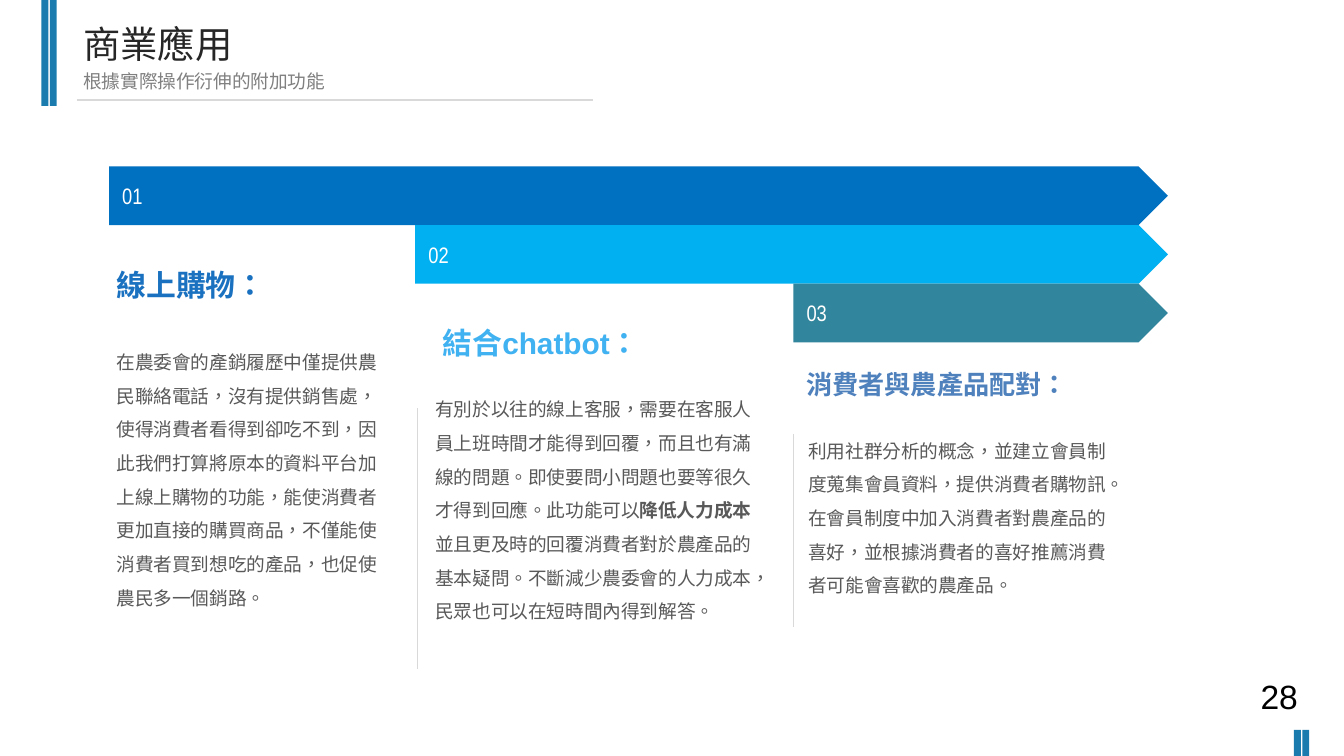
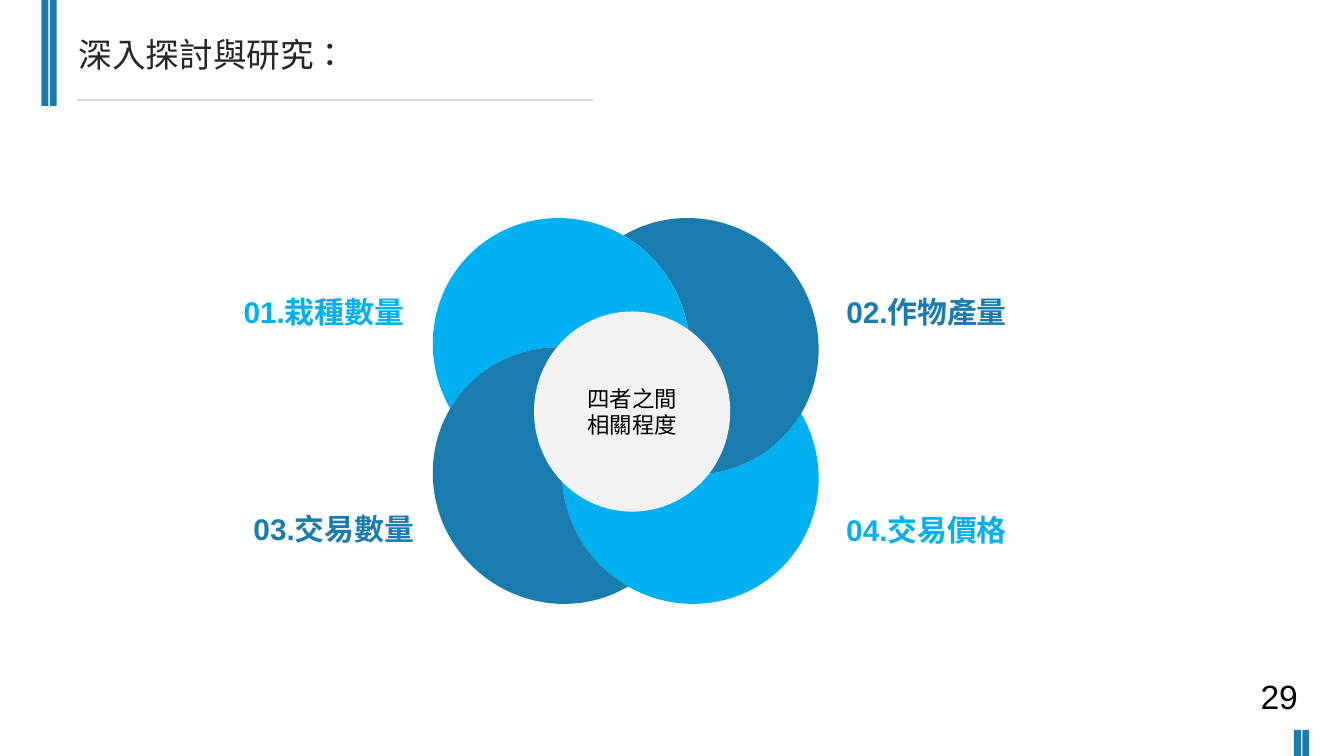
from dataclasses import dataclass
from itertools import pairwise
from math import acos, atan2, cos, degrees, hypot, radians, sin, tan

from lxml import etree
from pptx import Presentation
from pptx.dml.color import RGBColor
from pptx.enum.shapes import MSO_CONNECTOR, MSO_SHAPE
from pptx.enum.text import MSO_ANCHOR, MSO_AUTO_SIZE, PP_ALIGN
from pptx.oxml.ns import qn
from pptx.util import Pt

STRAIGHT = MSO_CONNECTOR.STRAIGHT
RECTANGLE = MSO_SHAPE.RECTANGLE
ARROW_BAR = MSO_SHAPE.PENTAGON
OVAL = MSO_SHAPE.OVAL
TOP, MIDDLE = MSO_ANCHOR.TOP, MSO_ANCHOR.MIDDLE
LEFT, CENTER = PP_ALIGN.LEFT, PP_ALIGN.CENTER
GROW = MSO_AUTO_SIZE.SHAPE_TO_FIT_TEXT

BLUE, SKY, RULE = "1A7BAE", "00B0F0", "D9D9D9"
BODY_FONT, TITLE_FONT, CJK_FONT = "Arial", "Arial Narrow", "Noto Sans CJK SC"
LANGUAGE = "zh-TW"


@dataclass(frozen=True)
class Box:
    left: float
    top: float
    width: float
    height: float

    def lengths(self) -> tuple:
        return Pt(self.left), Pt(self.top), Pt(self.width), Pt(self.height)


@dataclass(frozen=True)
class Style:
    size: float
    color: str
    font: str = BODY_FONT
    bold: bool = False
    align: PP_ALIGN = LEFT
    line_spacing: float = 1.0


@dataclass(frozen=True)
class Application:
    number: str
    bar_left: float
    bar_color: str
    heading: str
    heading_box: Box
    heading_style: Style
    body: tuple[str, ...]
    body_box: Box


@dataclass(frozen=True)
class Factor:
    label: str
    label_box: Box
    color: str
    column: int
    row: int
    cover_angle: float


BODY = Style(10, "595959", CJK_FONT, line_spacing=1.5)
EMPHASIS = "降低人力成本"

BAR_TOP, BAR_HEIGHT, BAR_RIGHT = 89.2, 31.4, 625.7
APPLICATIONS = [
    Application(
        "01", 58.4, "0070C0",
        "線上購物：", Box(55.4, 139.2, 136, 26.6), Style(16, "1971C0", bold=True),
        ("在農委會的產銷履歷中僅提供農民聯絡電話，沒有提供銷售處，使得消費者看得到卻吃不到，"
         "因此我們打算將原本的資料平台加上線上購物的功能，能使消費者更加直接的購買商品，"
         "不僅能使消費者買到想吃的產品，也促使農民多一個銷路。",),
        Box(55.4, 178.5, 160, 150.5),
    ),
    Application(
        "02", 222.4, SKY,
        "結合chatbot：", Box(230.1, 170.6, 136, 26.6), Style(16, "40B1F1", bold=True),
        ("有別於以往的線上客服，需要在客服人員上班時間才能得到回覆，而且也有滿線的問題。"
         "即使要問小問題也要等很久才得到回應。此功能可以",
         EMPHASIS,
         "並且更及時的回覆消費者對於農產品的基本疑問。不斷減少農委會的人力成本，"
         "民眾也可以在短時間內得到解答。"),
        Box(226.1, 203.8, 190, 132.5),
    ),
    Application(
        "03", 425, "31859C",
        "消費者與農產品配對：", Box(424.8, 193.7, 151.2, 24.5), Style(14, "4F81BD", bold=True),
        ("利用社群分析的概念，並建立會員制度蒐集會員資料，提供消費者購物訊。"
         "在會員制度中加入消費者對農產品的喜好，並根據消費者的喜好推薦消費者可能會喜歡的農產品。",),
        Box(425.9, 226, 175.7, 95.8),
    ),
]

FLOWER_X, FLOWER_Y, PETAL_OFFSET = 335.2, 220.2, 34.6
RADIUS_X, RADIUS_Y, PETAL_ROTATION = 69.5, 68, 45
FACTORS = [
    Factor("02.作物產量", Box(446.3, 153.7, 114.5, 26.6), BLUE, 1, -1, 180),
    Factor("01.栽種數量", Box(123.4, 153.7, 124.6, 26.6), SKY, -1, -1, 90),
    Factor("04.交易價格", Box(446.3, 270.7, 124.6, 26.6), SKY, 1, 1, 270),
    Factor("03.交易數量", Box(128.7, 270, 114.5, 26.6), BLUE, -1, 1, 0),
]


def rgb(color: str) -> RGBColor:
    return RGBColor.from_string(color)


def write(shape, paragraphs: list[tuple[str, ...]], style: Style, anchor=TOP, wrap=True) -> None:
    frame = shape.text_frame
    frame.word_wrap = wrap
    frame.vertical_anchor = anchor
    for index, pieces in enumerate(paragraphs):
        paragraph = frame.add_paragraph() if index else frame.paragraphs[0]
        paragraph.alignment = style.align
        paragraph.line_spacing = style.line_spacing
        paragraph.font.name = style.font
        paragraph.font.size = Pt(style.size)
        paragraph.font.bold = style.bold
        paragraph.font.color.rgb = rgb(style.color)
        for piece in pieces:
            run = paragraph.add_run()
            run.text = piece
            run._r.get_or_add_rPr().set("lang", LANGUAGE)
            if piece == EMPHASIS:
                run.font.bold = True


def add_text(slide, box: Box, pieces: tuple[str, ...], style: Style, wrap=True) -> None:
    shape = slide.shapes.add_textbox(*box.lengths())
    write(shape, [pieces], style, wrap=wrap)
    shape.text_frame.auto_size = GROW


def paint(shape, color: str) -> None:
    shape.shadow.inherit = False
    shape.fill.solid()
    shape.fill.fore_color.rgb = rgb(color)
    shape.line.fill.background()


def add_block(slide, kind, box: Box, color: str):
    shape = slide.shapes.add_shape(kind, *box.lengths())
    paint(shape, color)
    return shape


def add_rule(slide, x1: float, y1: float, x2: float, y2: float):
    line = slide.shapes.add_connector(STRAIGHT, Pt(x1), Pt(y1), Pt(x2), Pt(y2))
    line.line.color.rgb = rgb(RULE)
    line.line.width = Pt(0.75)
    etree.SubElement(line._element.spPr, qn("a:effectLst"))
    return line


def furnish_layout(slide) -> None:
    parts = [add_rule(slide, 41, 53.5, 317.5, 53.5)]
    for left, top, height in ((22.2, 0, 56.8), (693.2, 391, 14)):
        for column in range(2):
            box = Box(left + 4.5 * column, top, 3.7, height)
            parts.append(add_block(slide, RECTANGLE, box, BLUE))
    for part in parts:
        slide.slide_layout.shapes._spTree.append(part._element)


def add_heading(slide, title: str, box: Box, size: float, number: int) -> None:
    heading = slide.shapes.title
    heading.left, heading.top, heading.width, heading.height = box.lengths()
    write(heading, [(title,)], Style(size, "262626", TITLE_FONT))
    add_text(slide, Box(668.2, 358.6, 34.6, 28.8), (str(number),), Style(18, "000000"), wrap=False)


def ellipse_point(center: tuple[float, float], angle: float) -> tuple[float, float]:
    return (center[0] + RADIUS_X * cos(radians(angle)), center[1] + RADIUS_Y * sin(radians(angle)))


def curve_points(center: tuple[float, float], start: float, end: float) -> list[tuple[float, float]]:
    reach = 4 / 3 * tan(radians(end - start) / 4)
    controls = []
    for angle, pull in ((start, reach), (end, -reach)):
        x, y = ellipse_point(center, angle)
        controls.append((x - pull * RADIUS_X * sin(radians(angle)),
                         y + pull * RADIUS_Y * cos(radians(angle))))
    return controls + [ellipse_point(center, end)]


def add_petal(slide, factor: Factor) -> None:
    center = (FLOWER_X + factor.column * PETAL_OFFSET, FLOWER_Y + factor.row * PETAL_OFFSET)
    toward = radians(factor.cover_angle - PETAL_ROTATION)
    step_x, step_y = 2 * PETAL_OFFSET * cos(toward), 2 * PETAL_OFFSET * sin(toward)
    cover = (center[0] + step_x, center[1] + step_y)
    unit_x, unit_y = step_x / RADIUS_X, step_y / RADIUS_Y
    direction = degrees(atan2(unit_y, unit_x))
    half = degrees(acos(hypot(unit_x, unit_y) / 2))
    extreme = 90 * round((direction + 135) / 90)

    outer = [direction + half, extreme, extreme + 90, direction + 360 - half]
    inner = [direction + 180 + half, direction + 180, direction + 180 - half]
    curves = [curve_points(center, *span) for span in pairwise(outer)]
    curves += [curve_points(cover, *span) for span in pairwise(inner)]

    first = ellipse_point(center, outer[0])
    builder = slide.shapes.build_freeform(Pt(first[0]), Pt(first[1]))
    builder.add_line_segments([(Pt(curve[-1][0]), Pt(curve[-1][1])) for curve in curves], close=True)
    petal = builder.convert_to_shape()
    paint(petal, factor.color)
    for segment, curve in zip(list(petal._element.iter(qn("a:lnTo"))), curves):
        segment.clear()
        bezier = etree.SubElement(segment.getparent(), qn("a:cubicBezTo"))
        for x, y in curve:
            etree.SubElement(bezier, qn("a:pt"), x=str(Pt(x) - petal.left), y=str(Pt(y) - petal.top))
        segment.getparent().replace(segment, bezier)

    shift_x = petal.left + petal.width / 2 - Pt(center[0])
    shift_y = petal.top + petal.height / 2 - Pt(center[1])
    turn = radians(PETAL_ROTATION)
    petal.left = int(petal.left - shift_x + shift_x * cos(turn) - shift_y * sin(turn))
    petal.top = int(petal.top - shift_y + shift_x * sin(turn) + shift_y * cos(turn))
    petal.rotation = PETAL_ROTATION


def build_applications(slide) -> None:
    add_heading(slide, "商業應用", Box(37.4, 7.9, 304.6, 31.7), 20, 28)
    add_text(slide, Box(37.6, 33.8, 304.6, 19.4), ("根據實際操作衍伸的附加功能",), Style(10, "808080"))
    for index, item in enumerate(APPLICATIONS):
        box = Box(item.bar_left, BAR_TOP + index * BAR_HEIGHT, BAR_RIGHT - item.bar_left, BAR_HEIGHT)
        bar = add_block(slide, ARROW_BAR, box, item.bar_color)
        write(bar, [(item.number,)], Style(12, "FFFFFF", TITLE_FONT), MIDDLE)
        add_text(slide, item.heading_box, (item.heading,), item.heading_style)
        add_text(slide, item.body_box, item.body, BODY)
    add_rule(slide, 223.7, 218.4, 223.7, 358.4)
    add_rule(slide, 425.1, 232.5, 425.1, 336)


def build_research(slide) -> None:
    add_heading(slide, "深入探討與研究：", Box(35, 14.4, 228.2, 28.8), 18, 29)
    for factor in FACTORS:
        add_petal(slide, factor)
        add_text(slide, factor.label_box, (factor.label,), Style(16, factor.color, bold=True))
    core = add_block(slide, OVAL, Box(286.1, 166.9, 105.1, 107.2), "F2F2F2")
    write(core, [("四者之間",), ("相關程度",)], Style(12, "000000", align=CENTER), MIDDLE)


def main() -> None:
    presentation = Presentation()
    presentation.slide_width, presentation.slide_height = Pt(720), Pt(405)
    layout = presentation.slide_layouts[5]
    applications, research = [presentation.slides.add_slide(layout) for _ in range(2)]
    furnish_layout(applications)
    build_applications(applications)
    build_research(research)
    presentation.save("out.pptx")


if __name__ == "__main__":
    main()
